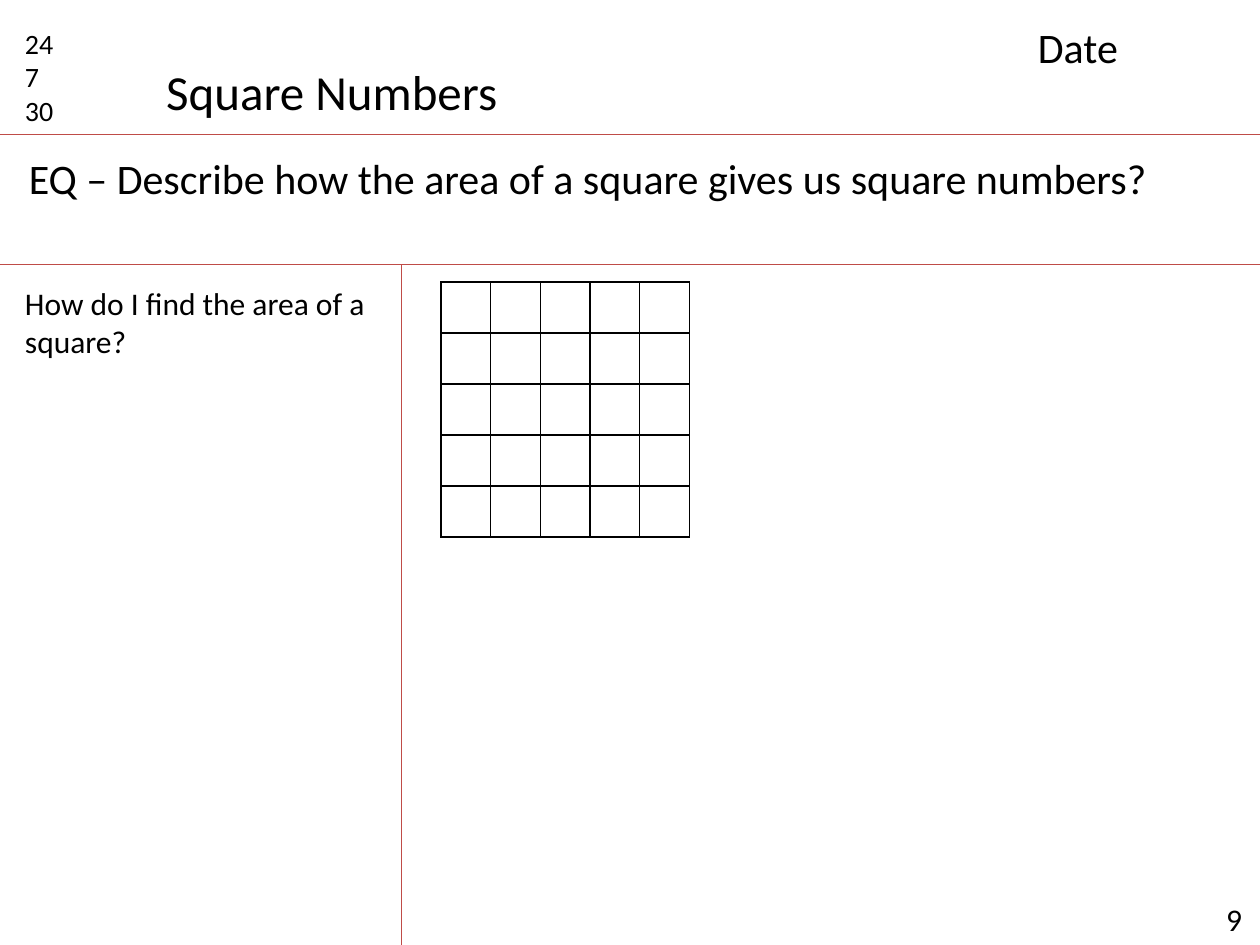
from dataclasses import dataclass

from lxml.etree import SubElement
from pptx import Presentation
from pptx.dml.color import RGBColor as Rgb
from pptx.enum.shapes import MSO_CONNECTOR as Connector
from pptx.enum.text import MSO_ANCHOR as Anchor, MSO_AUTO_SIZE as AutoSize, PP_ALIGN as Align
from pptx.oxml.ns import qn
from pptx.util import Pt

SLIDE_WIDTH, SLIDE_HEIGHT = 720, 540
TITLE_ONLY = 5


@dataclass(frozen=True)
class Theme:
    font: str = "Calibri"
    ink: str = "000000"
    rule: str = "BF4C48"
    title: int = 28
    heading: int = 24
    body: int = 18
    small: int = 16
    rule_width: float = 0.75
    grid_width: float = 1


class NotesPage:
    def __init__(self, slide, theme):
        self.slide = slide
        self.theme = theme

    def set_text(self, holder, text, size):
        frame = holder.text_frame
        frame.text = text
        frame.word_wrap = True
        frame.auto_size = AutoSize.NONE
        frame.vertical_anchor = Anchor.TOP
        for paragraph in frame.paragraphs:
            paragraph.alignment = Align.LEFT
            for run in paragraph.runs:
                run.font.name = self.theme.font
                run.font.size = Pt(size)
                run.font.color.rgb = Rgb.from_string(self.theme.ink)

    def title(self, text, left, top, width, height):
        heading = self.slide.shapes.title
        heading.left, heading.top = Pt(left), Pt(top)
        heading.width, heading.height = Pt(width), Pt(height)
        self.set_text(heading, text, self.theme.title)
        heading.text_frame.word_wrap = False

    def text(self, text, left, top, width, height, size):
        box = self.slide.shapes.add_textbox(Pt(left), Pt(top), Pt(width), Pt(height))
        self.set_text(box, text, size)

    def rule(self, x1, y1, x2, y2):
        line = self.slide.shapes.add_connector(
            Connector.STRAIGHT, Pt(x1), Pt(y1), Pt(x2), Pt(y2))
        line.line.color.rgb = Rgb.from_string(self.theme.rule)
        line.line.width = Pt(self.theme.rule_width)
        SubElement(line._element.spPr, qn("a:effectLst"))

    def square_grid(self, left, top, count, column_width, row_height):
        """Draw an empty count-by-count table with every cell outlined."""
        table = self.slide.shapes.add_table(
            count, count, Pt(left), Pt(top),
            Pt(count * column_width), Pt(count * row_height)).table
        table.first_row = table.horz_banding = False
        for column in table.columns:
            column.width = Pt(column_width)
        for row in table.rows:
            row.height = Pt(row_height)
        for cell in table.iter_cells():
            self.outline(cell)
            cell.fill.background()

    def outline(self, cell):
        properties = cell._tc.get_or_add_tcPr()
        for side in ("a:lnL", "a:lnR", "a:lnT", "a:lnB"):
            border = SubElement(properties, qn(side), w=str(Pt(self.theme.grid_width)))
            fill = SubElement(border, qn("a:solidFill"))
            SubElement(fill, qn("a:srgbClr"), val=self.theme.ink)


def main():
    deck = Presentation()
    deck.slide_width, deck.slide_height = Pt(SLIDE_WIDTH), Pt(SLIDE_HEIGHT)
    theme = Theme()
    page = NotesPage(deck.slides.add_slide(deck.slide_layouts[TITLE_ONLY]), theme)

    header_bottom, question_bottom, cue_right = 77, 151, 229.5
    page.text("9", 693.5, 511, 26.5, 29, theme.body)
    for y in (header_bottom, question_bottom):
        page.rule(0, y, SLIDE_WIDTH, y)
    page.rule(cue_right, question_bottom, cue_right, SLIDE_HEIGHT)

    page.text("24\n7\n30", 7.2, 11.5, 45, 65.5, theme.small)
    page.title("Square Numbers", 87.8, 31.7, 212, 41)
    page.text("Date", 586, 8.6, 124.5, 36, theme.heading)
    page.text("How do I find the area of a square?", 7.2, 159, 211, 51, theme.body)
    page.text("EQ – Describe how the area of a square gives us square numbers?",
              9.4, 83.5, 679, 36, theme.heading)
    page.square_grid(252, 161, count=5, column_width=28.4, row_height=28.8)

    deck.save("out.pptx")


if __name__ == "__main__":
    main()
